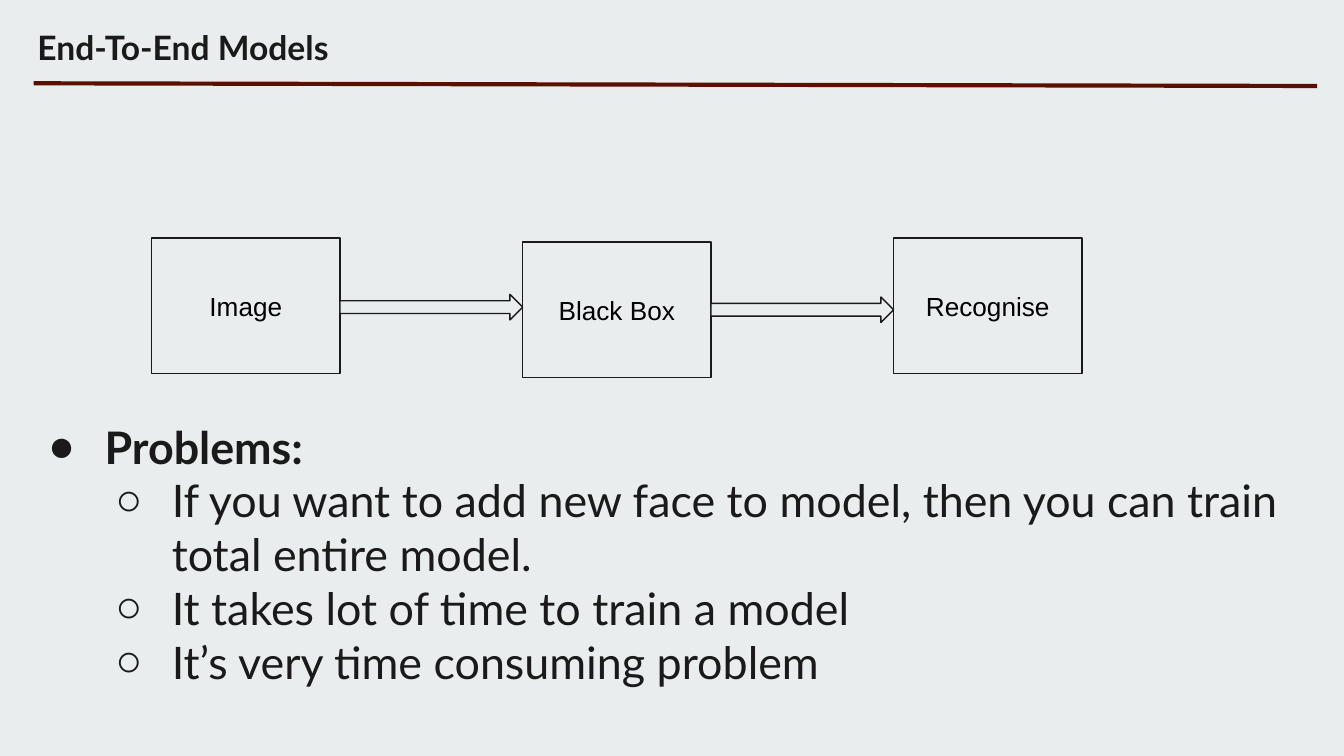
from dataclasses import dataclass

import pptx
import pptx.dml.color
import pptx.enum.shapes
import pptx.enum.text
import pptx.oxml
import pptx.oxml.ns
import pptx.util
from pptx.util import Inches


@dataclass(frozen=True)
class Theme:
    background: str = "E9EDEE"
    ink: str = "1A1A1A"
    label: str = "000000"
    rule: str = "5B0F00"
    text_font: str = "Lato"
    label_font: str = "Arial"
    title_size: int = 18
    body_size: int = 24
    label_size: int = 14
    rule_width: float = 2.25
    outline_width: float = 0.75


THEME = Theme()
STEPS = [("Image", 1.77), ("Black Box", 1.8), ("Recognise", 1.77)]
ARROW_TOPS = [2.19, 2.21]
FLOW_LEFT, BOX_WIDTH, BOX_HEIGHT = 1.13, 1.4, 1.01
ARROW_WIDTH, ARROW_HEIGHT = 1.36, 0.19
PROBLEMS = [
    "If you want to add new face to model, then you can train total entire model.",
    "It takes lot of time to train a model",
    "It’s very time consuming problem",
]


def rgb(value):
    return pptx.dml.color.RGBColor.from_string(value)


def write_text(paragraph, text, *, size, font=THEME.text_font, color=THEME.ink, bold=False):
    run = paragraph.add_run()
    run.text = text
    run.font.size = pptx.util.Pt(size)
    run.font.name = font
    run.font.color.rgb = rgb(color)
    run.font.bold = bold


def set_margins(frame):
    frame.word_wrap = True
    frame.margin_left = frame.margin_right = Inches(0.1)
    frame.margin_top = frame.margin_bottom = Inches(0.1)


def add_text_frame(slide, left, top, width, height):
    box = slide.shapes.add_textbox(Inches(left), Inches(top), Inches(width), Inches(height))
    set_margins(box.text_frame)
    return box.text_frame


def add_outlined_shape(slide, kind, left, top, width, height):
    shape = slide.shapes.add_shape(
        kind, Inches(left), Inches(top), Inches(width), Inches(height)
    )
    shape.shadow.inherit = False
    shape.fill.solid()
    shape.fill.fore_color.rgb = rgb(THEME.background)
    shape.line.color.rgb = rgb(THEME.ink)
    shape.line.width = pptx.util.Pt(THEME.outline_width)
    return shape


def add_step(slide, left, top, text):
    kind = pptx.enum.shapes.MSO_SHAPE.RECTANGLE
    box = add_outlined_shape(slide, kind, left, top, BOX_WIDTH, BOX_HEIGHT)
    frame = box.text_frame
    set_margins(frame)
    frame.vertical_anchor = pptx.enum.text.MSO_ANCHOR.MIDDLE
    paragraph = frame.paragraphs[0]
    paragraph.alignment = pptx.enum.text.PP_ALIGN.CENTER
    write_text(paragraph, text, size=THEME.label_size, font=THEME.label_font, color=THEME.label)


def add_flow(slide):
    pitch = BOX_WIDTH + ARROW_WIDTH
    for index, (text, top) in enumerate(STEPS):
        add_step(slide, FLOW_LEFT + index * pitch, top, text)
    for index, top in enumerate(ARROW_TOPS):
        left = FLOW_LEFT + BOX_WIDTH + index * pitch
        kind = pptx.enum.shapes.MSO_SHAPE.RIGHT_ARROW
        add_outlined_shape(slide, kind, left, top, ARROW_WIDTH, ARROW_HEIGHT)


def add_rule(slide):
    line = slide.shapes.add_connector(
        pptx.enum.shapes.MSO_CONNECTOR.STRAIGHT,
        Inches(0.25), Inches(0.62), Inches(9.8), Inches(0.64),
    )
    line.line.color.rgb = rgb(THEME.rule)
    line.line.width = pptx.util.Pt(THEME.rule_width)
    properties = line._element.spPr
    properties.append(pptx.oxml.parse_xml(f'<a:effectLst {pptx.oxml.ns.nsdecls("a")}/>'))


def set_bullet(paragraph, level, character):
    paragraph.level = level
    properties = paragraph._p.get_or_add_pPr()
    properties.set("marL", str(Inches(0.5 * (level + 1))))
    properties.set("indent", str(Inches(-0.42)))
    namespace = pptx.oxml.ns.nsdecls("a")
    for element in (
        f'<a:buClr {namespace}><a:srgbClr val="{THEME.ink}"/></a:buClr>',
        f'<a:buFont {namespace} typeface="{THEME.label_font}"/>',
        f'<a:buChar {namespace} char="{character}"/>',
    ):
        properties.append(pptx.oxml.parse_xml(element))


def add_problems(slide):
    frame = add_text_frame(slide, 0.18, 3.02, 9.71, 2.48)
    heading = frame.paragraphs[0]
    set_bullet(heading, 0, "●")
    write_text(heading, "Problems:", size=THEME.body_size, bold=True)
    for problem in PROBLEMS:
        paragraph = frame.add_paragraph()
        set_bullet(paragraph, 1, "○")
        write_text(paragraph, problem, size=THEME.body_size)


def main():
    presentation = pptx.Presentation()
    presentation.slide_width = Inches(10)
    presentation.slide_height = Inches(10) * 9 // 16
    slide = presentation.slides.add_slide(presentation.slide_layouts[6])
    slide.background.fill.solid()
    slide.background.fill.fore_color.rgb = rgb(THEME.background)

    title = add_text_frame(slide, 0.18, 0.1, 9.64, 0.54)
    write_text(title.paragraphs[0], "End-To-End Models", size=THEME.title_size, bold=True)
    add_rule(slide)
    add_flow(slide)
    add_problems(slide)
    presentation.save("out.pptx")


if __name__ == "__main__":
    main()
